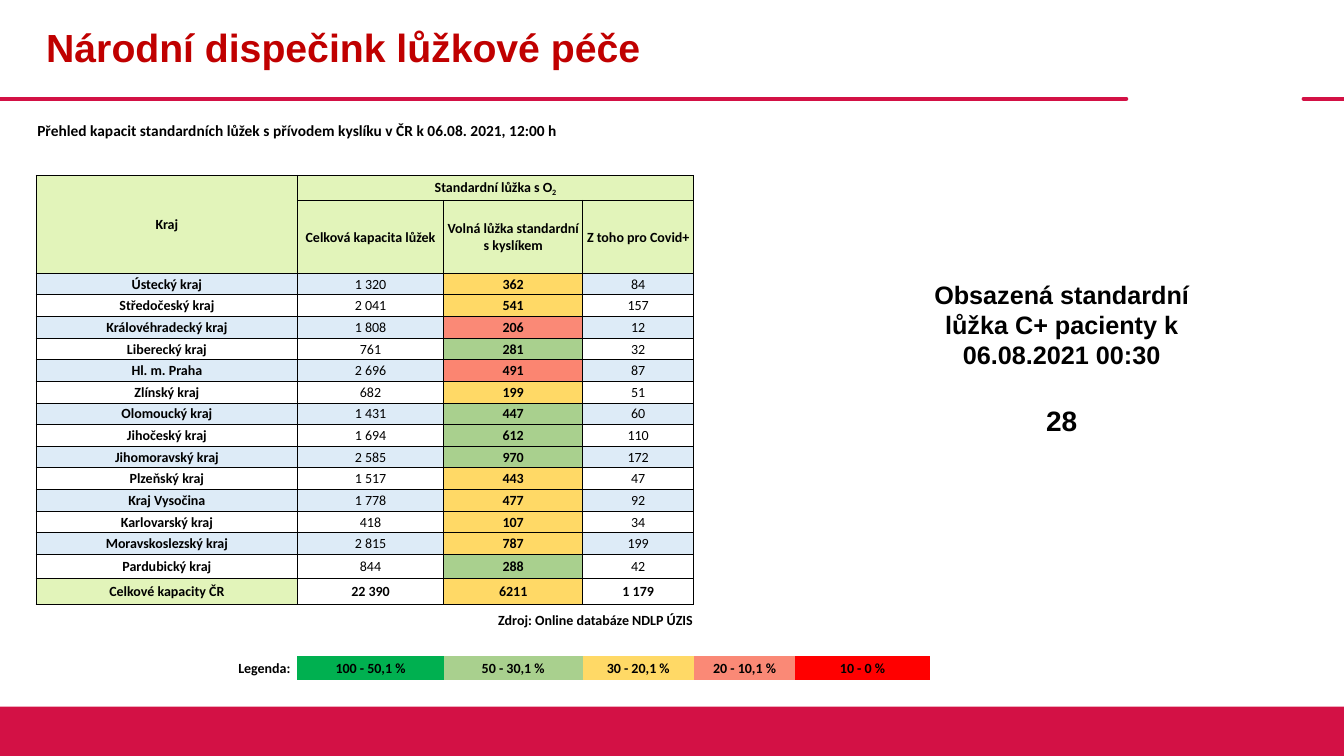
from lxml.etree import SubElement
from pptx import Presentation
from pptx.dml.color import RGBColor
from pptx.enum.shapes import MSO_CONNECTOR, MSO_SHAPE
from pptx.enum.text import MSO_ANCHOR, PP_ALIGN
from pptx.oxml.ns import qn
from pptx.util import Inches, Pt

rgb = RGBColor.from_string
CRIMSON, BLACK, WHITE = "D31145", "000000", "FFFFFF"
HEADER, BAND = "E2F4BA", "DDEBF7"
GREEN, YELLOW, SALMON = "A9D08E", "FFD966", "FA8976"
NO_STYLE = "{2D5ABB26-0587-4C30-8999-92F81FD0307C}"


def add_span(para, text, size, font="Calibri", bold=True, color=BLACK):
    span = para.add_run()
    span.text = text
    span.font.size = Pt(size)
    span.font.name = font
    span.font.bold = bold
    span.font.color.rgb = rgb(color)
    return span


def add_border(cell, side, width):
    """Draw one black edge; side is L, R, T or B."""
    line = SubElement(cell._tc.get_or_add_tcPr(), qn(f"a:ln{side}"), w=str(Pt(width)))
    fill = SubElement(line, qn("a:solidFill"))
    SubElement(fill, qn("a:srgbClr"), val=BLACK)


deck = Presentation()
deck.slide_width, deck.slide_height = Inches(13.33), Inches(7.5)
page = deck.slides.add_slide(deck.slide_layouts[6])

# Title band and footer
for start, end in [(0, 11.17), (12.93, 13.33)]:
    rule = page.shapes.add_connector(
        MSO_CONNECTOR.STRAIGHT, Inches(start), Inches(0.98), Inches(end), Inches(0.98))
    rule.line.color.rgb = rgb(CRIMSON)
    rule.line.width = Pt(3)
    rule._element.spPr.find(qn("a:ln")).set("cap", "rnd")
    SubElement(rule._element.spPr, qn("a:effectLst"))

footer = page.shapes.add_shape(
    MSO_SHAPE.RECTANGLE, 0, Inches(7.01), Inches(13.33), Inches(0.49))
footer.shadow.inherit = False
footer.fill.solid()
footer.fill.fore_color.rgb = rgb(CRIMSON)
footer.line.fill.background()

title = page.shapes.add_textbox(Inches(0.36), 0, Inches(10.81), Inches(0.98)).text_frame
title.word_wrap = True
title.vertical_anchor = MSO_ANCHOR.MIDDLE
title.paragraphs[0].line_spacing = 0.9
add_span(title.paragraphs[0], "Národní dispečink lůžkové péče", 28, "Arial", color="C00000")

# Occupied beds
occupied = page.shapes.add_textbox(
    Inches(8.79), Inches(2.72), Inches(3.48), Inches(1.68)).text_frame
occupied.word_wrap = True
for index, (text, size, before) in enumerate([
        ("Obsazená standardní", 18, 0),
        ("lůžka C+ pacienty k 06.08.2021 00:30", 18, 0),
        ("28", 20, 24)]):
    para = occupied.add_paragraph() if index else occupied.paragraphs[0]
    para.alignment = PP_ALIGN.CENTER
    para.space_before = Pt(before)
    add_span(para, text, size, "Arial")

# Capacity table
regions = [
    ("Ústecký kraj", "1 320", "362", "84", YELLOW),
    ("Středočeský kraj", "2 041", "541", "157", YELLOW),
    ("Královéhradecký kraj", "1 808", "206", "12", SALMON),
    ("Liberecký kraj", "761", "281", "32", GREEN),
    ("Hl. m. Praha", "2 696", "491", "87", "FB8571"),
    ("Zlínský kraj", "682", "199", "51", YELLOW),
    ("Olomoucký kraj", "1 431", "447", "60", GREEN),
    ("Jihočeský kraj", "1 694", "612", "110", GREEN),
    ("Jihomoravský kraj", "2 585", "970", "172", GREEN),
    ("Plzeňský kraj", "1 517", "443", "47", YELLOW),
    ("Kraj Vysočina", "1 778", "477", "92", YELLOW),
    ("Karlovarský kraj", "418", "107", "34", YELLOW),
    ("Moravskoslezský kraj", "2 815", "787", "199", YELLOW),
    ("Pardubický kraj", "844", "288", "42", GREEN),
]
legend = [("100 - 50,1 %", "00B050"), ("50 - 30,1 %", GREEN), ("30 - 20,1 %", YELLOW),
          ("20 - 10,1 %", SALMON), ("10 - 0 %", "FF0000")]
FIRST_REGION = 4
TOTAL = FIRST_REGION + len(regions)
SOURCE, LEGEND = TOTAL + 1, TOTAL + 3

# (row, column): text, fill, bold
content = {
    (0, 0): ("Přehled kapacit standardních lůžek s přívodem kyslíku v ČR k 06.08. 2021, 12:00 h",
             None, True),
    (2, 0): ("Kraj", HEADER, True),
    (2, 1): ("Standardní lůžka s O", HEADER, True),
    (3, 1): ("Celková kapacita lůžek", HEADER, True),
    (3, 2): ("Volná lůžka standardní s kyslíkem", HEADER, True),
    (3, 3): ("Z toho pro Covid+", HEADER, True),
    (TOTAL, 0): ("Celkové kapacity ČR", HEADER, True),
    (TOTAL, 1): ("22 390", None, True),
    (TOTAL, 2): ("6211", YELLOW, True),
    (TOTAL, 3): ("1 179", None, True),
    (SOURCE, 0): ("Zdroj: Online databáze NDLP ÚZIS", None, True),
    (LEGEND, 0): ("Legenda:", None, True),
}
for row, (*values, level) in enumerate(regions, FIRST_REGION):
    band = WHITE if row % 2 else BAND
    for col, value in enumerate(values):
        content[row, col] = (value, level if col == 2 else band, col in (0, 2))
for col, (text, fill) in enumerate(legend, 1):
    content[LEGEND, col] = (text, fill, True)

widths = [2.59, 1.45, 1.38, 1.1, 1.01, 1.33]
heights = [0.46, 0.21, 0.25, 0.72] + [2.79 / 13] * 13 + [0.24, 0.26, 0.3, 0.21, 0.24]
frame = page.shapes.add_table(len(heights), len(widths), Inches(0.36), Inches(1.07),
                              Inches(sum(widths)), Inches(sum(heights)))
table = frame.table
table.first_row = table.horz_banding = False
table._tbl.tblPr.find(qn("a:tableStyleId")).text = NO_STYLE
for column, width in zip(table.columns, widths):
    column.width = Inches(width)
for line, height in zip(table.rows, heights):
    line.height = Inches(height)

aligns = {(0, 0): PP_ALIGN.LEFT, (SOURCE, 0): PP_ALIGN.RIGHT, (LEGEND, 0): PP_ALIGN.RIGHT}
upright = [1, 1, 0.5, 0.5, 1]
thick_tops = (2, 3, FIRST_REGION, TOTAL, SOURCE)
for row in range(len(heights)):
    for col in range(len(widths)):
        cell = table.cell(row, col)
        cell.vertical_anchor = MSO_ANCHOR.MIDDLE
        cell.margin_left = cell.margin_right = cell.margin_top = Inches(0.01)
        cell.margin_bottom = 0
        if 2 <= row <= TOTAL and col < 4:
            top, bottom = (1 if edge in thick_tops else 0.5 for edge in (row, row + 1))
            for side, width in zip("LRTB", (upright[col], upright[col + 1], top, bottom)):
                add_border(cell, side, width)
        text, fill, bold = content.get((row, col), ("", None, False))
        if fill:
            cell.fill.solid()
            cell.fill.fore_color.rgb = rgb(fill)
        else:
            cell.fill.background()
        para = cell.text_frame.paragraphs[0]
        para.alignment = aligns.get((row, col), PP_ALIGN.CENTER)
        if text:
            add_span(para, text, 10 if row else 11, bold=bold)
        else:
            SubElement(para._p, qn("a:endParaRPr"), sz="1000")

subscript = add_span(table.cell(2, 1).text_frame.paragraphs[0], "2", 10)
subscript._r.get_or_add_rPr().set("baseline", "-25000")
table.cell(LEGEND, 0).margin_right = Inches(0.07)

for first, last in [((0, 0), (0, 4)), ((2, 0), (3, 0)), ((2, 1), (2, 3)),
                    ((SOURCE, 0), (SOURCE, 3))]:
    table.cell(*first).merge(table.cell(*last))

deck.save("out.pptx")
